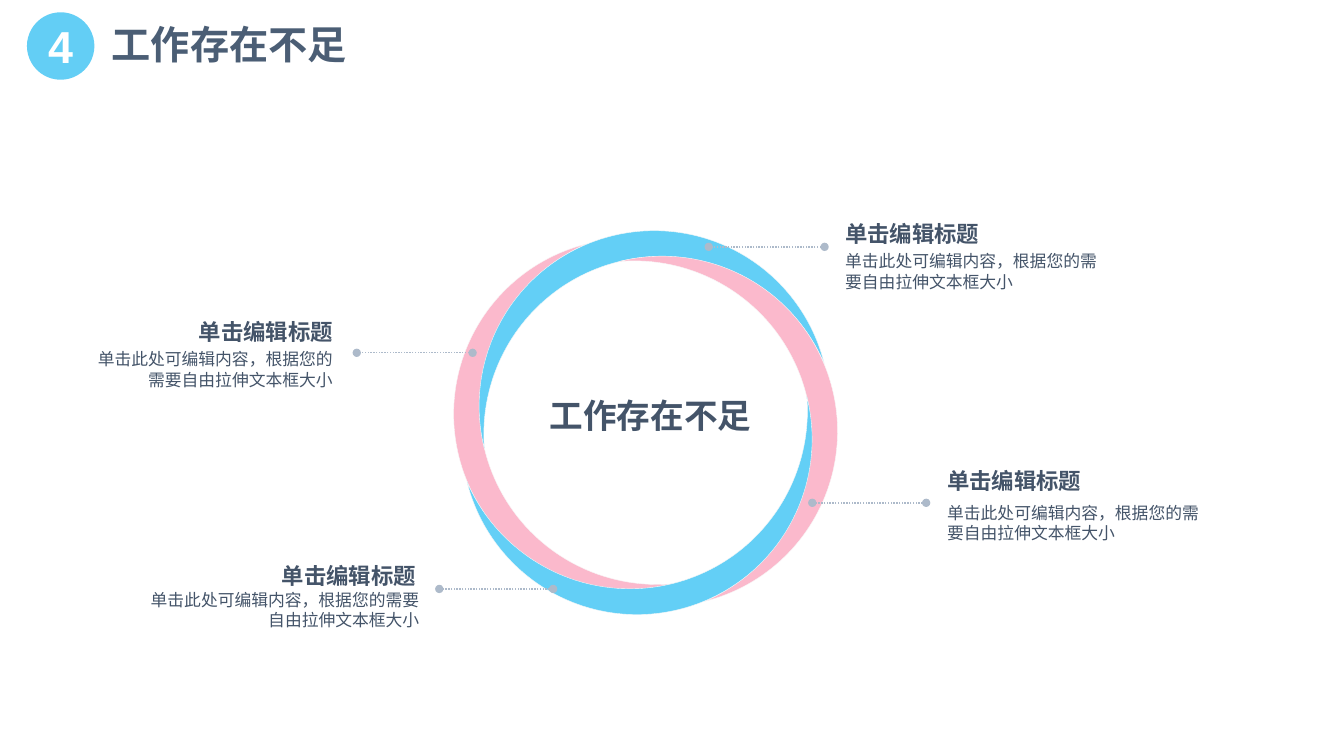
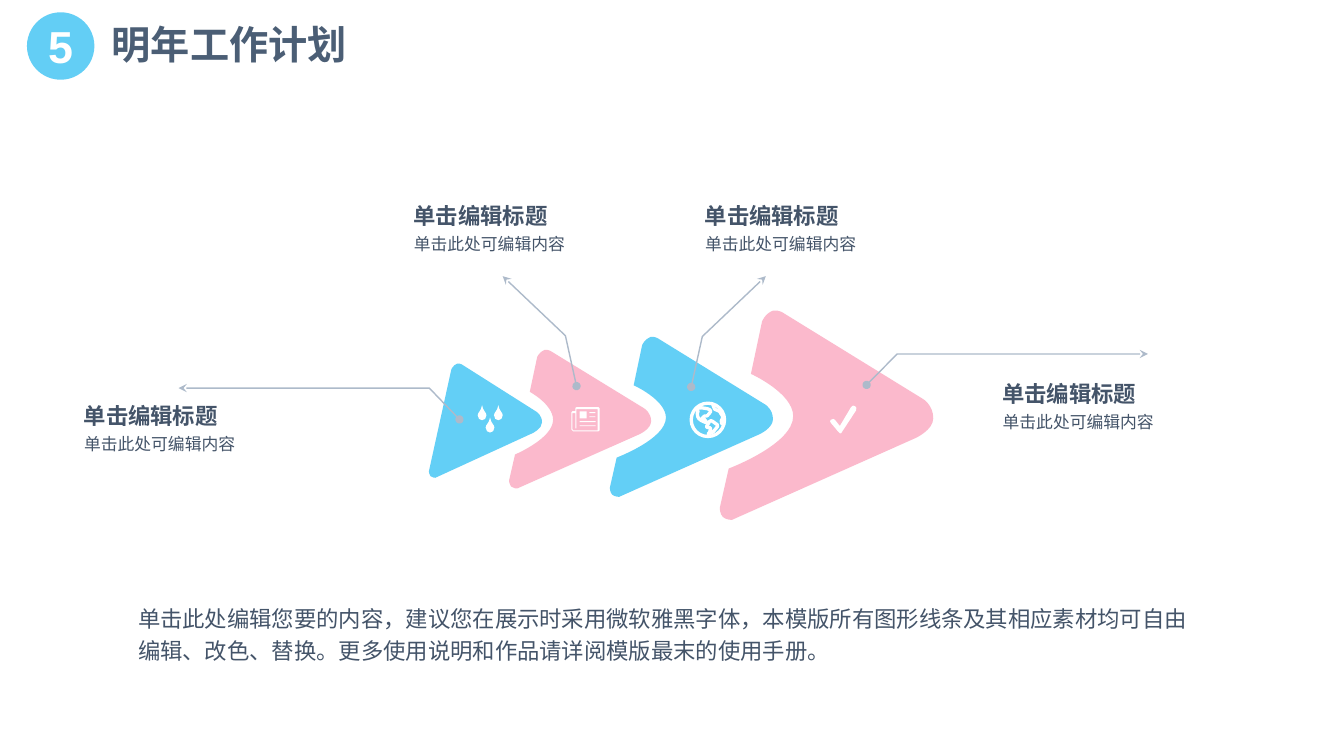
import dataclasses

import pptx
import pptx.dml.color
import pptx.enum.dml
import pptx.enum.shapes
import pptx.enum.text
import pptx.oxml
import pptx.oxml.ns
import pptx.util

Cm = pptx.util.Cm
Pt = pptx.util.Pt
SHAPE = pptx.enum.shapes.MSO_SHAPE
ALIGN = pptx.enum.text.PP_ALIGN
NS = pptx.oxml.ns.nsdecls("a")


@dataclasses.dataclass(frozen=True)
class Theme:
    font: str = "Arial"
    badge: str = "00B0F0"
    badge_alpha: int = 61
    sky: str = "63CFF6"
    pink: str = "FBB9CC"
    ink: str = "445469"
    title_ink: str = "4B5E75"
    leader: str = "ADBACA"
    edge: str = "F8F8F8"
    white: str = "FFFFFF"
    number_size: int = 32
    title_size: int = 28
    center_size: int = 24
    heading_size: int = 16
    body_size: int = 12
    leader_width: float = 1
    edge_width: float = 0.25
    icon_width: float = 2.38


THEME = Theme()
HEADING = "单击编辑标题"
SHORT_BODY = "单击此处可编辑内容"
LONG_BODY = "单击此处可编辑内容，根据您的需要自由拉伸文本框大小"
CLOSING = (
    "单击此处编辑您要的内容，建议您在展示时采用微软雅黑字体，"
    "本模版所有图形线条及其相应素材均可自由编辑、改色、替换。"
    "更多使用说明和作品请详阅模版最末的使用手册。"
)

# Outlines in percent of their box: a pair is a corner, six numbers a Bezier curve.
ARROW_HEAD = [
    (19.8, 5.7), (19.8, 5.7, 21.2, 1.9, 25, 0.5), (27.8, 0, 30.2, 1.9, 30.2, 1.9),
    (95.3, 42.6), (95.3, 42.6, 100, 45.5, 100, 51.7),
    (100, 57.4, 91.5, 61.2, 91.5, 61.2),
    (5.7, 100), (5.7, 100, 2.8, 100, 1.4, 98.6), (0, 97.1, 0, 94.3, 0, 94.3),
]
DROP = [
    (50, 0), (40, 40, 0, 47, 0, 67), (0, 87, 22, 100, 50, 100),
    (78, 100, 100, 87, 100, 67), (100, 47, 60, 40, 50, 0),
]
CHECK = [
    (37, 100), (33, 100, 30, 96, 30, 93), (4, 63), (0, 59, 0, 54, 4, 52),
    (11, 48, 15, 48, 19, 52), (37, 74), (78, 7), (81, 0, 89, 0, 93, 4),
    (96, 7, 100, 11, 96, 19), (44, 96), (44, 100, 41, 100, 37, 100),
]
NEWS_OUTER = [
    (96, 0), (18, 0), (14, 0, 14, 0, 14, 4), (14, 17), (4, 17), (0, 17, 0, 17, 0, 21),
    (0, 92), (0, 96, 4, 100, 7, 100), (96, 100), (100, 100, 100, 100, 100, 96),
    (100, 4), (100, 0, 100, 0, 96, 0),
]
NEWS_INNER = [
    (93, 96), (7, 96), (7, 96, 4, 92, 4, 92), (4, 25), (14, 25), (14, 88), (18, 88),
    (18, 8), (93, 8),
]
NEWS_BARS = [
    (29, 17, 25, 29), (64, 21, 21, 4), (64, 38, 21, 4), (29, 58, 57, 4), (29, 75, 57, 4),
]
GLOBE_LANDS = [
    [(18, 30), (18, 36, 18, 45, 30, 52), (42, 58, 45, 58, 45, 58),
     (48, 58, 42, 58, 45, 55), (45, 52, 42, 52, 42, 52), (39, 52, 39, 48, 39, 48),
     (39, 45, 36, 52, 33, 45), (33, 42, 36, 39, 39, 39), (48, 42, 48, 36, 55, 30),
     (67, 21, 48, 15, 39, 15), (27, 12, 15, 15, 18, 18), (21, 24, 21, 27, 18, 30)],
    [(48, 67), (48, 73, 42, 67, 48, 73), (55, 79, 58, 67, 58, 79),
     (55, 94, 45, 94, 55, 91), (64, 88, 61, 91, 67, 85), (73, 79, 76, 73, 79, 70),
     (82, 64, 76, 64, 73, 61), (67, 58, 61, 48, 55, 55), (52, 61, 48, 67, 48, 67)],
    [(64, 0), (64, 3, 67, 12, 70, 18), (76, 21, 88, 24, 88, 30),
     (91, 36, 97, 39, 94, 45), (91, 48, 88, 58, 91, 61), (97, 67, 97, 61, 97, 61)],
]


def rgb(color):
    return pptx.dml.color.RGBColor.from_string(color)


def paint(sp, fill=None, line=None, width=0):
    sp.shadow.inherit = False
    if fill:
        sp.fill.solid()
        sp.fill.fore_color.rgb = rgb(fill)
    else:
        sp.fill.background()
    if line:
        sp.line.color.rgb = rgb(line)
        sp.line.width = Pt(width)
    else:
        sp.line.fill.background()


def set_alpha(sp, percent):
    color = sp._element.spPr.find(".//" + pptx.oxml.ns.qn("a:srgbClr"))
    color.append(pptx.oxml.parse_xml(f'<a:alpha {NS} val="{percent * 1000}"/>'))


def add_preset(shapes, kind, x, y, w, h, **style):
    sp = shapes.add_shape(kind, Cm(x), Cm(y), Cm(w), Cm(h))
    paint(sp, **style)
    return sp


def add_text(shapes, text, x, y, w, h, size, color=THEME.ink, bold=False,
             align=ALIGN.LEFT, inset=True, spacing=None):
    sp = shapes.add_textbox(Cm(x), Cm(y), Cm(w), Cm(h))
    tf = sp.text_frame
    tf.word_wrap = True
    tf.auto_size = pptx.enum.text.MSO_AUTO_SIZE.SHAPE_TO_FIT_TEXT
    if not inset:
        tf.margin_left = tf.margin_top = tf.margin_right = tf.margin_bottom = 0
    p = tf.paragraphs[0]
    p.text = text
    p.alignment = align
    p.line_spacing = spacing
    p.font.name = THEME.font
    p.font.size = Pt(size)
    p.font.bold = bold
    p.font.color.rgb = rgb(color)


def fit(outline, x, y, w, h):
    """Place a percent outline in a box given in centimetres."""
    return [
        tuple(y + h * v / 100 if i % 2 else x + w * v / 100 for i, v in enumerate(part))
        for part in outline
    ]


def bend(sp, parts):
    """Turn the straight segments that stand for curves into Bezier segments."""
    segments = list(sp._element.iter(pptx.oxml.ns.qn("a:lnTo")))
    for segment, part in zip(segments, parts):
        if len(part) == 6:
            points = "".join(
                f'<a:pt x="{Cm(x) - sp.left}" y="{Cm(y) - sp.top}"/>'
                for x, y in zip(part[::2], part[1::2]))
            curve = pptx.oxml.parse_xml(f"<a:cubicBezTo {NS}>{points}</a:cubicBezTo>")
            segment.getparent().replace(segment, curve)


def add_outline(shapes, *contours, closed=True, **style):
    paths = [[(Cm(part[-2]), Cm(part[-1])) for part in contour] for contour in contours]
    builder = shapes.build_freeform(*paths[0][0], scale=1.0)
    for i, points in enumerate(paths):
        if i:
            builder.move_to(*points[0])
        builder.add_line_segments(points[1:], close=closed)
    sp = builder.convert_to_shape()
    bend(sp, [part for contour in contours for part in contour[1:]])
    paint(sp, **style)
    return sp


def set_line_ends(sp, head, tail):
    ln = sp.line._get_or_add_ln()
    for tag, kind in (("a:headEnd", head), ("a:tailEnd", tail)):
        ln.append(pptx.oxml.parse_xml(f'<{tag} {NS} type="{kind}"/>'))


def add_dotted_leader(shapes, x1, x2, y):
    cx = shapes.add_connector(
        pptx.enum.shapes.MSO_CONNECTOR.STRAIGHT, Cm(x1), Cm(y), Cm(x2), Cm(y))
    cx.line.color.rgb = rgb(THEME.leader)
    cx.line.width = Pt(THEME.leader_width)
    cx.line.dash_style = pptx.enum.dml.MSO_LINE.ROUND_DOT
    set_line_ends(cx, "oval", "oval")
    cx._element.spPr.append(pptx.oxml.parse_xml(f"<a:effectLst {NS}/>"))


def add_callout(shapes, body, x, y, w, body_x, body_y, align=ALIGN.LEFT):
    """Heading over body; x and body_x are the edges the text aligns to."""
    shift = w if align == ALIGN.RIGHT else 0
    add_text(shapes, HEADING, x - shift, y, w, 0.69, THEME.heading_size,
             bold=True, align=align, inset=False)
    add_text(shapes, body, body_x - shift, body_y, w, 1.02, THEME.body_size,
             align=align, inset=False)


def add_header(slide, number, title):
    shapes = slide.shapes.add_group_shape().shapes
    badge = add_preset(shapes, SHAPE.OVAL, 0.68, 0.31, 1.7, 1.7, fill=THEME.badge)
    set_alpha(badge, THEME.badge_alpha)
    add_text(shapes, number, 0.87, 0.34, 1.32, 1.62, THEME.number_size,
             THEME.white, bold=True, align=ALIGN.CENTER)
    add_text(shapes, title, 2.57, 0.38, 9.25, 1.45, THEME.title_size,
             THEME.title_ink, bold=True)


def add_ring(shapes):
    """Four crescents, each a quarter turn further round the centre."""
    w, h = 4.42, 8.83
    cx, cy = 16.27, 10.65
    dx, dy = -2.56, 0.32
    for i in range(4):
        sp = add_preset(shapes, SHAPE.MOON, cx + dx - w / 2, cy + dy - h / 2, w, h,
                        fill=(THEME.pink, THEME.sky)[i % 2],
                        line=THEME.edge, width=THEME.edge_width)
        sp.adjustments[0] = 0.152
        sp.rotation = (345.9 + 90 * i) % 360
        dx, dy = -dy, dx


def add_arrow(shapes, box, color, notch):
    """Rounded triangle; notch is the depth of the cut in percent, 0 for none."""
    outline = list(ARROW_HEAD)
    if notch:
        outline += [(4.2, 75.6), (4.2, 75.6, notch, 64.1, notch, 50.7),
                    (notch, 39.7, 14.6, 30.6, 14.6, 30.6)]
    add_outline(shapes, fit(outline, *box), fill=color)


def add_news_icon(shapes, x, y, w, h):
    add_outline(shapes, fit(NEWS_OUTER, x, y, w, h), fit(NEWS_INNER, x, y, w, h),
                fill=THEME.white)
    for left, top, bw, bh in NEWS_BARS:
        add_preset(shapes, SHAPE.RECTANGLE, x + w * left / 100, y + h * top / 100,
                   w * bw / 100, h * bh / 100, fill=THEME.white)


def add_globe_icon(shapes, *box):
    stroke = {"line": THEME.white, "width": THEME.icon_width}
    add_preset(shapes, SHAPE.OVAL, *box, **stroke)
    for land in GLOBE_LANDS:
        add_outline(shapes, fit(land, *box), closed=land[0] == land[-1][-2:], **stroke)


def build_shortcomings(slide):
    shapes = slide.shapes
    add_ring(shapes)
    add_text(shapes, "工作存在不足", 13.46, 9.82, 5.87, 1.27, THEME.center_size,
             bold=True, align=ALIGN.CENTER)
    for leader in ((11.91, 8.99, 8.89), (13.94, 11.07, 14.84),
                   (20.78, 17.86, 6.22), (23.34, 20.47, 12.67)):
        add_dotted_leader(shapes, *leader)
    for x, y, w, body_x, body_y, align in (
        (8.39, 8.01, 6.12, 8.39, 8.8, ALIGN.RIGHT),
        (10.48, 14.16, 6.78, 10.57, 14.86, ALIGN.RIGHT),
        (21.3, 5.54, 6.63, 21.3, 6.33, ALIGN.LEFT),
        (23.87, 11.77, 6.53, 23.87, 12.67, ALIGN.LEFT),
    ):
        add_callout(shapes, LONG_BODY, x, y, w, body_x, body_y, align)
    add_header(slide, "4", "工作存在不足")


def build_plan(slide):
    shapes = slide.shapes
    for box, color, notch in (
        ((18.14, 7.8, 5.38, 5.3), THEME.pink, 34.4),
        ((15.37, 8.47, 4.11, 4.05), THEME.sky, 34.4),
        ((12.83, 8.8, 3.58, 3.51), THEME.pink, 31),
        ((10.81, 9.15, 2.85, 2.89), THEME.sky, 0),
    ):
        add_arrow(shapes, box, color, notch)
    for points in (
        [(21.84, 9.7), (22.61, 8.92), (28.93, 8.92)],
        [(11.58, 10.57), (10.82, 9.78), (4.5, 9.78)],
        [(17.42, 9.75), (17.7, 8.48), (19.3, 6.96)],
        [(14.53, 9.73), (14.25, 8.46), (12.67, 6.96)],
    ):
        sp = add_outline(shapes, points, closed=False,
                         line=THEME.leader, width=THEME.leader_width)
        set_line_ends(sp, "oval", "stealth")
    drops = [fit(DROP, x, y, 0.22, 0.38)
             for x, y in ((12.04, 10.21), (12.45, 10.21), (12.24, 10.52))]
    add_outline(shapes, *drops, fill=THEME.white)
    add_outline(shapes, fit(CHECK, 20.91, 10.21, 0.69, 0.71), fill=THEME.white)
    add_news_icon(shapes, 14.4, 10.26, 0.71, 0.61)
    add_globe_icon(shapes, 17.42, 10.16, 0.84, 0.84)
    for x, y in ((10.42, 5.09), (17.76, 5.09), (25.26, 9.58), (2.11, 10.13)):
        add_callout(shapes, SHORT_BODY, x, y, 4.34, x + 0.01, y + 0.79)
    add_text(shapes, CLOSING, 3.48, 15.11, 26.47, 1.57, THEME.heading_size,
             inset=False, spacing=1.2)
    add_header(slide, "5", "明年工作计划")


def main():
    prs = pptx.Presentation()
    prs.slide_width, prs.slide_height = Cm(33.87), Cm(19.05)
    for build in (build_shortcomings, build_plan):
        build(prs.slides.add_slide(prs.slide_layouts[6]))
    prs.save("out.pptx")


if __name__ == "__main__":
    main()
